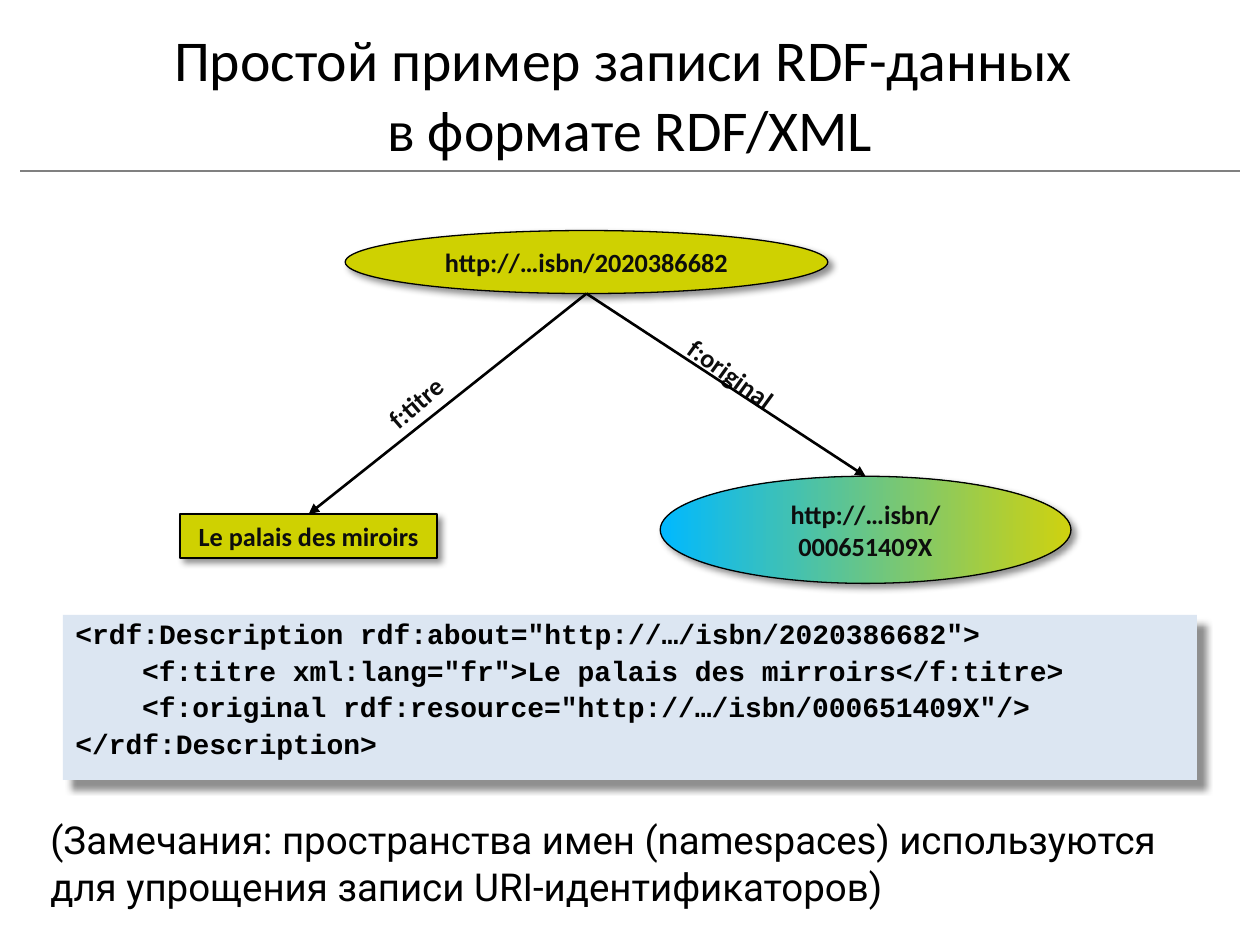
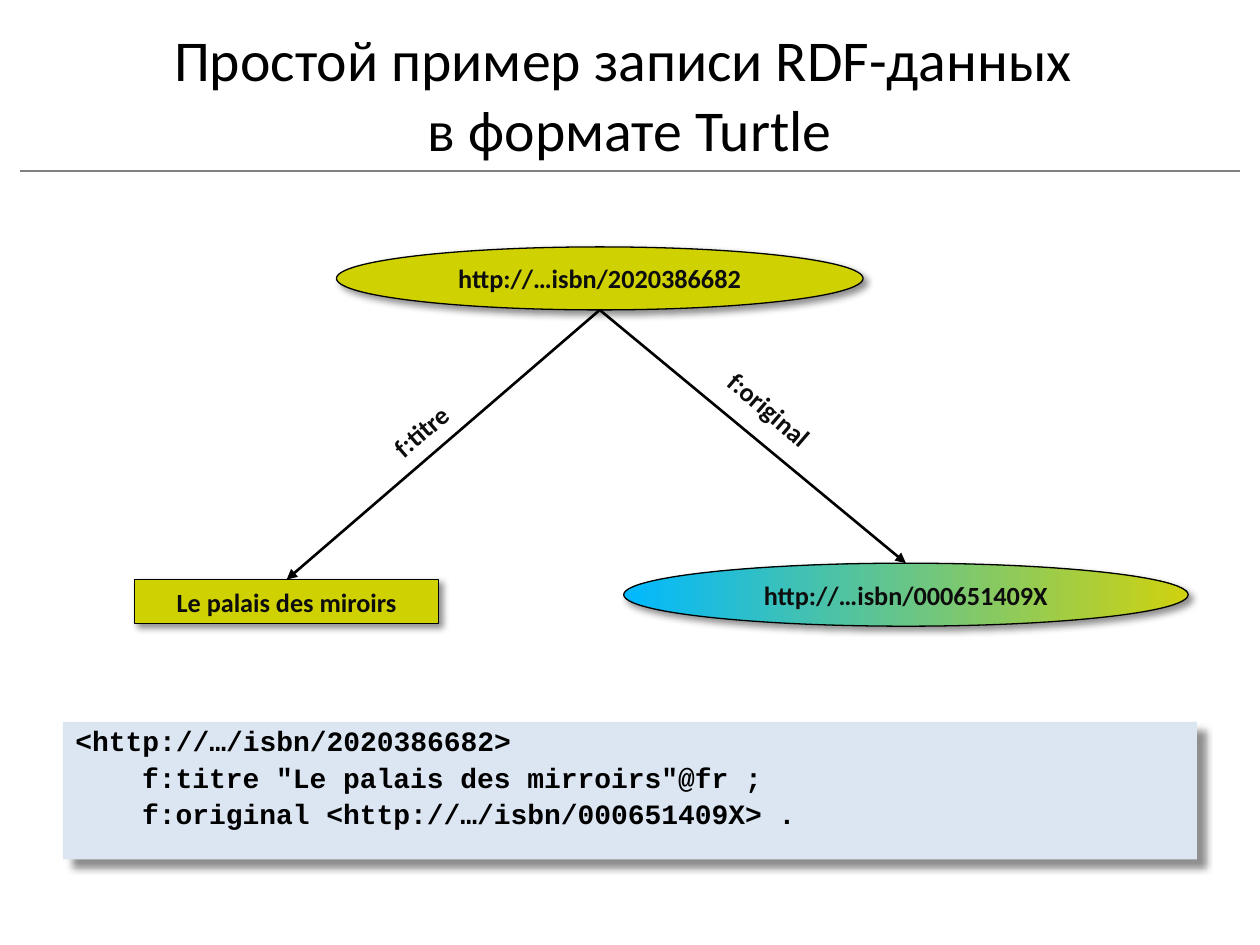
from lxml import etree
from pptx import Presentation
from pptx.dml.color import RGBColor
from pptx.enum import shapes, text
from pptx.oxml import ns
from pptx.util import Inches, Pt

COLOURS = {
    "ink": "000000", "label": "0D0D0D", "rule": "808080", "code": "DCE6F2",
    "node": "CFD101", "start": "00B9FF", "end": "CFD20F",
}
TITLE = {"name": "Calibri", "size": Pt(33)}
LABEL = {"name": "Calibri", "size": Pt(15), "bold": True}
CODE = {"name": "Courier New", "size": Pt(16), "bold": True}
NOTE = {"name": "Roboto", "size": Pt(22)}
CENTRE = {"alignment": text.PP_ALIGN.CENTER}
CODE_LINE = {"line_spacing": 0.88, "space_before": Pt(4)}
CODE_INDENT = Inches(0.53)
OVAL, RECTANGLE = shapes.MSO_SHAPE.OVAL, shapes.MSO_SHAPE.RECTANGLE


def rgb(name):
    return RGBColor.from_string(COLOURS[name])


def assign(target, values):
    for name, value in values.items():
        setattr(target, name, value)


def add_child(parent, tag, **attributes):
    child = etree.SubElement(parent, ns.qn(tag))
    for name, value in attributes.items():
        child.set(name, str(value))
    return child


def write(shape, lines, font, colour="ink", layout=None, top=0.05, side=0.1,
          bottom=0.05, anchor=text.MSO_ANCHOR.TOP):
    frame = shape.text_frame
    assign(frame, {
        "word_wrap": True, "vertical_anchor": anchor,
        "margin_left": Inches(side), "margin_right": Inches(side),
        "margin_top": Inches(top), "margin_bottom": Inches(bottom),
    })
    for number, line in enumerate(lines):
        para = frame.add_paragraph() if number else frame.paragraphs[0]
        para.text = line
        assign(para, {"alignment": text.PP_ALIGN.LEFT, **(layout or {})})
        for span in para.runs:
            assign(span.font, font)
            span.font.color.rgb = rgb(colour)
    return frame


def add_text(page, box, lines, font, **options):
    shape = page.shapes.add_textbox(*map(Inches, box))
    write(shape, lines, font, **options)
    return shape


def cast_shadow(shape, distance):
    shape.shadow.inherit = False
    effects = shape._element.spPr.find(ns.qn("a:effectLst"))
    shadow = add_child(effects, "a:outerShdw", blurRad=Pt(4), dist=Pt(distance),
                       dir=45 * 60000, algn="tl", rotWithShape=0)
    tint = add_child(shadow, "a:srgbClr", val=COLOURS["ink"])
    add_child(tint, "a:alpha", val=43000)


def add_line(page, start, end, colour, width, arrow=False):
    line = page.shapes.add_connector(
        shapes.MSO_CONNECTOR.STRAIGHT, *map(Inches, (*start, *end)))
    line.line.color.rgb = rgb(colour)
    line.line.width = Pt(width)
    if arrow:
        add_child(line.line._get_or_add_ln(), "a:tailEnd", type="triangle")
    add_child(line._element.spPr, "a:effectLst")


def add_title(page, box, title):
    left, top, width, height = box
    add_line(page, (left + 0.16, top + height + 0.11),
             (left + width - 0.16, top + height + 0.11), "rule", 1)
    add_text(page, box, [title], TITLE, layout=CENTRE, top=0.03,
             anchor=text.MSO_ANCHOR.MIDDLE)


def add_node(page, kind, box, caption, gradient=False):
    node = page.shapes.add_shape(kind, *map(Inches, box))
    if gradient:
        node.fill.gradient()
        node.fill.gradient_angle = 0
        for stop, name in zip(node.fill.gradient_stops, ("start", "end")):
            stop.color.rgb = rgb(name)
    else:
        node.fill.solid()
        node.fill.fore_color.rgb = rgb("node")
    node.line.color.rgb = rgb("ink")
    node.line.width = Pt(0.75)
    cast_shadow(node, 3)
    write(node, [caption], LABEL, "label", CENTRE,
          anchor=text.MSO_ANCHOR.MIDDLE)


def add_graph(page, origin, subject, literal, resource, labels):
    def place(box):
        return (origin[0] + box[0], origin[1] + box[1], *box[2:])

    subject, literal, resource = map(place, (subject, literal, resource))
    for caption, box, angle in labels:
        add_text(page, place(box), [caption], LABEL,
                 colour="label").rotation = angle
    add_node(page, OVAL, subject, "http://…isbn/2020386682")
    left, top, width, height = subject
    for target in (literal, resource):
        add_line(page, (left + width / 2, top + height),
                 (target[0] + target[2] / 2, target[1]), "ink", 1.5, arrow=True)
    add_node(page, RECTANGLE, literal, "Le palais des miroirs")
    add_node(page, OVAL, resource, "http://…isbn/000651409X", gradient=True)


def add_code(page, box, lines, indented):
    panel = page.shapes.add_shape(RECTANGLE, *map(Inches, box))
    panel.fill.solid()
    panel.fill.fore_color.rgb = rgb("code")
    panel.line.fill.background()
    cast_shadow(panel, 7)
    frame = write(panel, lines, CODE, layout=CODE_LINE)
    for number in indented:
        properties = frame.paragraphs[number]._p.get_or_add_pPr()
        properties.set("marL", str(CODE_INDENT))


SLIDES = [
    {
        "format": "RDF/XML",
        "graph": {
            "origin": (1.43, 1.83),
            "subject": (1.31, 0, 3.83, 0.5),
            "literal": (0, 2.25, 2.04, 0.35),
            "resource": (3.81, 1.95, 3.26, 0.85),
            "labels": [("f:original", (3.86, 1.04, 1.24, 0.35), 35.9),
                       ("f:titre", (1.5, 1.13, 0.87, 0.35), 319.2)],
        },
        "code_box": (0.5, 4.88, 9, 1.31),
        "code": [
            '<rdf:Description rdf:about="http://…/isbn/2020386682">',
            '<f:titre xml:lang="fr">Le palais des mirroirs</f:titre>',
            '<f:original rdf:resource="http://…/isbn/000651409X"/>',
            '</rdf:Description>',
        ],
        "note": "(Замечания: пространства имен (namespaces) используются "
                "для упрощения записи URI-идентификаторов)",
    },
    {
        "format": "Turtle",
        "graph": {
            "origin": (1.07, 1.96),
            "subject": (1.6, 0, 4.18, 0.5),
            "literal": (0, 2.64, 2.41, 0.35),
            "resource": (3.88, 2.51, 4.48, 0.5),
            "labels": [("f:original", (4.51, 1.22, 1.3, 0.35), 40.7),
                       ("f:titre", (1.9, 1.22, 0.89, 0.35), 319.2)],
        },
        "code_box": (0.5, 5.73, 9, 1.09),
        "code": [
            '<http://…/isbn/2020386682>',
            'f:titre "Le palais des mirroirs"@fr ;',
            'f:original <http://…/isbn/000651409X> .',
        ],
    },
]

deck = Presentation()
deck.slide_width, deck.slide_height = Inches(10), Inches(7.5)
for content in SLIDES:
    page = deck.slides.add_slide(deck.slide_layouts[6])
    add_title(page, (0, 0.25, 10, 1),
              f"Простой пример записи RDF-данных \vв формате {content['format']}")
    add_code(page, content["code_box"], content["code"], indented=(1, 2))
    if "note" in content:
        add_text(page, (0.31, 6.39, 9.54, 0.93), [content["note"]], NOTE,
                 top=0.09, side=0.09, bottom=0.04)
    add_graph(page, **content["graph"])
deck.save("out.pptx")
